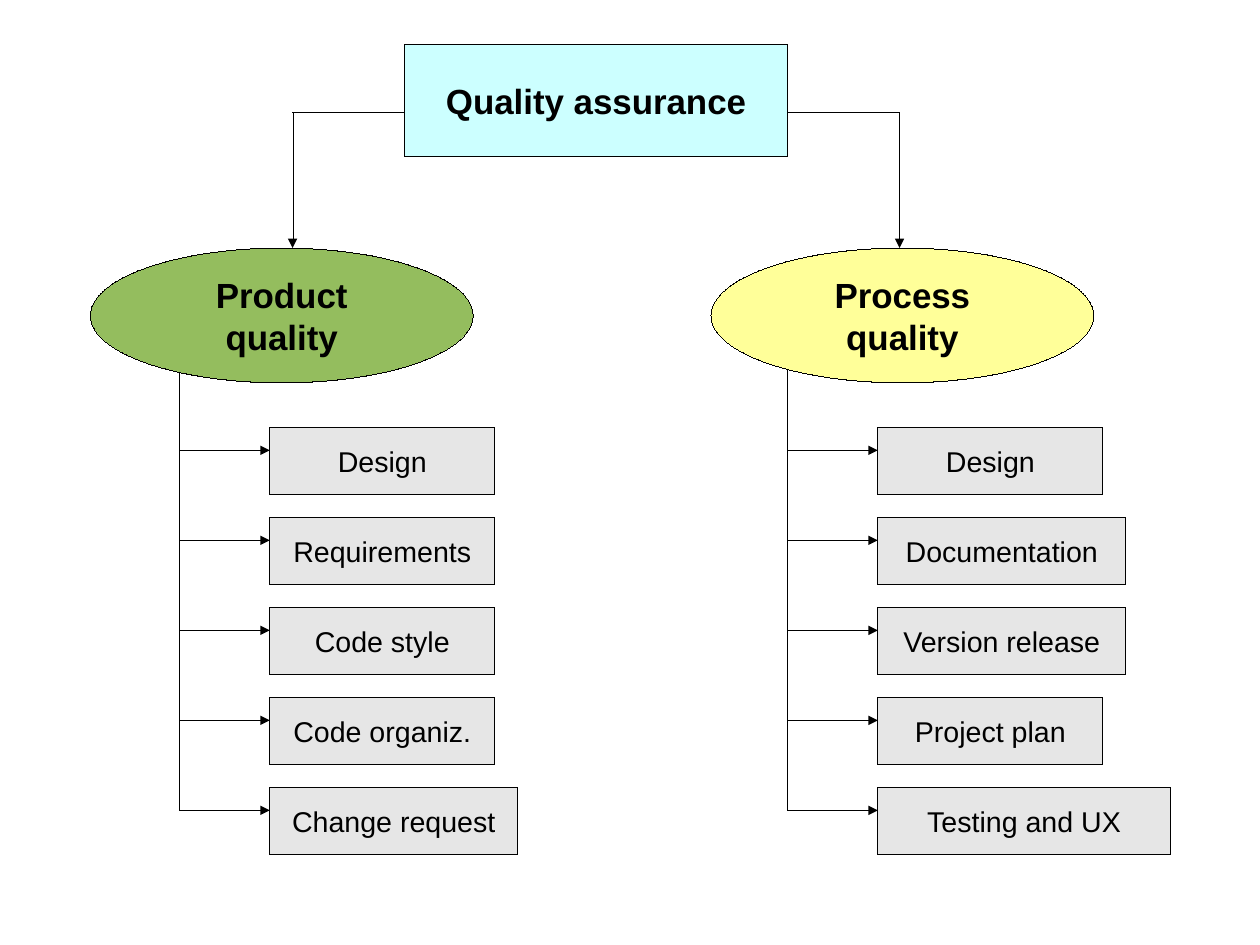
from lxml import etree
from pptx import Presentation
from pptx.enum import shapes, text
from pptx.dml.color import RGBColor
from pptx.oxml import ns
from pptx.util import Cm, Inches, Pt

COLORS = {
    "ink": "000000",
    "root": "CCFFFF",
    "product": "94BD5E",
    "process": "FFFF99",
    "item": "E6E6E6",
}
RECT = shapes.MSO_SHAPE.RECTANGLE
OVAL = shapes.MSO_SHAPE.OVAL
HAIRLINE = Pt(0.01)

# The page measures 28 by 21 cm
deck = Presentation()
deck.slide_width, deck.slide_height = Cm(28), Cm(21)
page = deck.slides.add_slide(deck.slide_layouts[6])


def add_box(kind, left, top, width, height, fill, label, size, bold=False):
    box = page.shapes.add_shape(
        kind, Inches(left), Inches(top), Inches(width), Inches(height))
    box.shadow.inherit = False
    box.fill.solid()
    box.fill.fore_color.rgb = RGBColor.from_string(COLORS[fill])
    box.line.color.rgb = RGBColor.from_string(COLORS["ink"])
    box.line.width = HAIRLINE
    frame = box.text_frame
    frame.word_wrap = True
    frame.vertical_anchor = text.MSO_ANCHOR.MIDDLE
    para = frame.paragraphs[0]
    para.text = label
    para.alignment = text.PP_ALIGN.CENTER
    para.font.name = "Arial"
    para.font.size = Pt(size)
    para.font.bold = bold
    para.font.color.rgb = RGBColor.from_string(COLORS["ink"])


def add_line(x1, y1, x2, y2, arrow=False):
    link = page.shapes.add_connector(
        shapes.MSO_CONNECTOR.STRAIGHT,
        Inches(x1), Inches(y1), Inches(x2), Inches(y2))
    link.line.color.rgb = RGBColor.from_string(COLORS["ink"])
    link.line.width = HAIRLINE
    properties = link._element.spPr
    if arrow:
        outline = properties.find(ns.qn("a:ln"))
        etree.SubElement(outline, ns.qn("a:tailEnd"), type="triangle")
    etree.SubElement(properties, ns.qn("a:effectLst"))


# Root of the tree
add_box(RECT, 3.54, 0.39, 3.35, 0.98, "root", "Quality assurance", 22, True)

# Branches: label, fill, oval left, root side x, arrow x, trunk x, trunk top,
# and items with their widths
branches = [
    ("Product quality", "product", 0.79, 3.54, 2.56, 1.57, 3.27,
     [("Design", 1.97), ("Requirements", 1.97), ("Code style", 1.97),
      ("Code organiz.", 1.97), ("Change request", 2.17)]),
    ("Process quality", "process", 6.22, 6.89, 7.87, 6.89, 3.23,
     [("Design", 1.97), ("Documentation", 2.17), ("Version release", 2.17),
      ("Project plan", 1.97), ("Testing and UX", 2.56)]),
]
FIRST_TOP, LAST_TOP, ARROW_DROP, INDENT = 3.74, 6.89, 0.2, 0.79

for label, fill, oval_left, root_x, arrow_x, trunk_x, trunk_top, items in branches:
    # Oval and its link from the root
    add_box(OVAL, oval_left, 2.17, 3.35, 1.18, fill, label, 22, True)
    add_line(root_x, 0.98, arrow_x, 0.98)
    add_line(arrow_x, 0.98, arrow_x, 2.17, arrow=True)

    # Trunk and items
    add_line(trunk_x, trunk_top, trunk_x, LAST_TOP + ARROW_DROP)
    item_left = trunk_x + INDENT
    pitch = (LAST_TOP - FIRST_TOP) / (len(items) - 1)
    for row, (item, width) in enumerate(items):
        top = FIRST_TOP + row * pitch
        add_box(RECT, item_left, top, width, 0.59, "item", item, 18)
        add_line(trunk_x, top + ARROW_DROP, item_left, top + ARROW_DROP, arrow=True)

deck.save("out.pptx")
